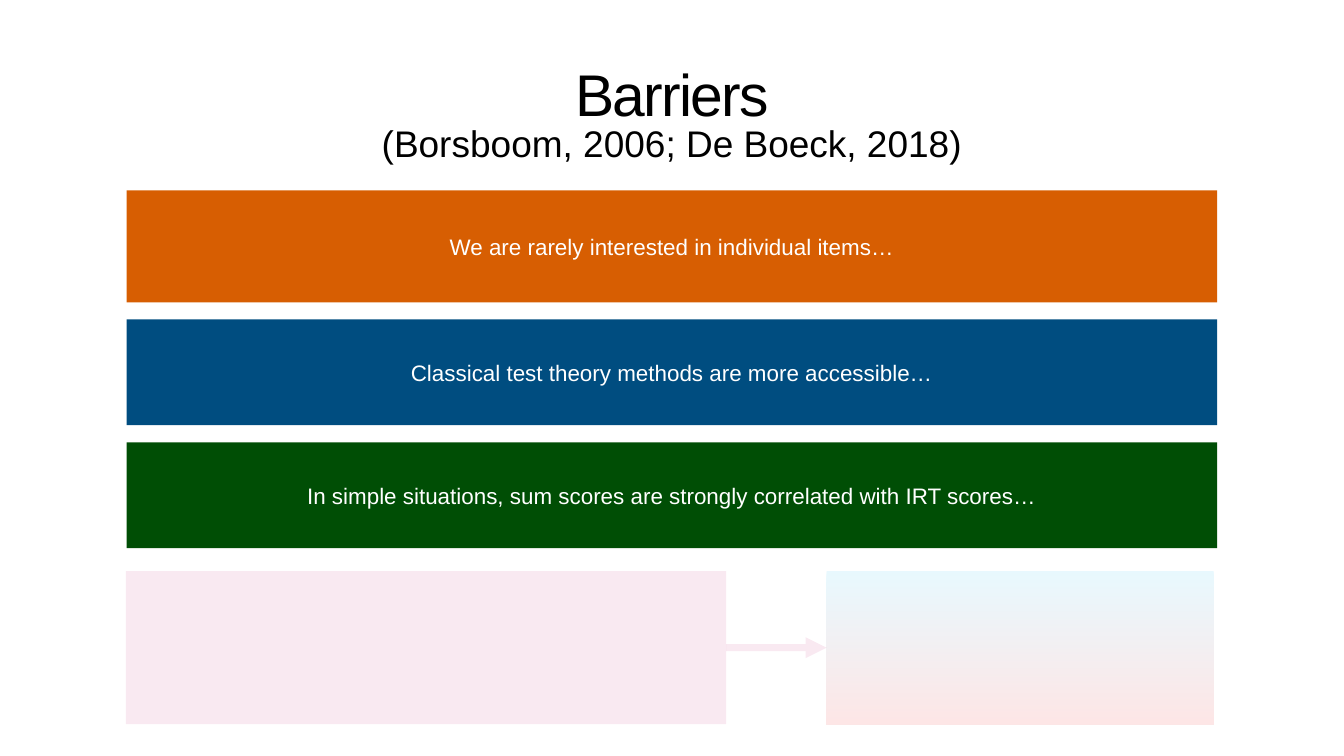
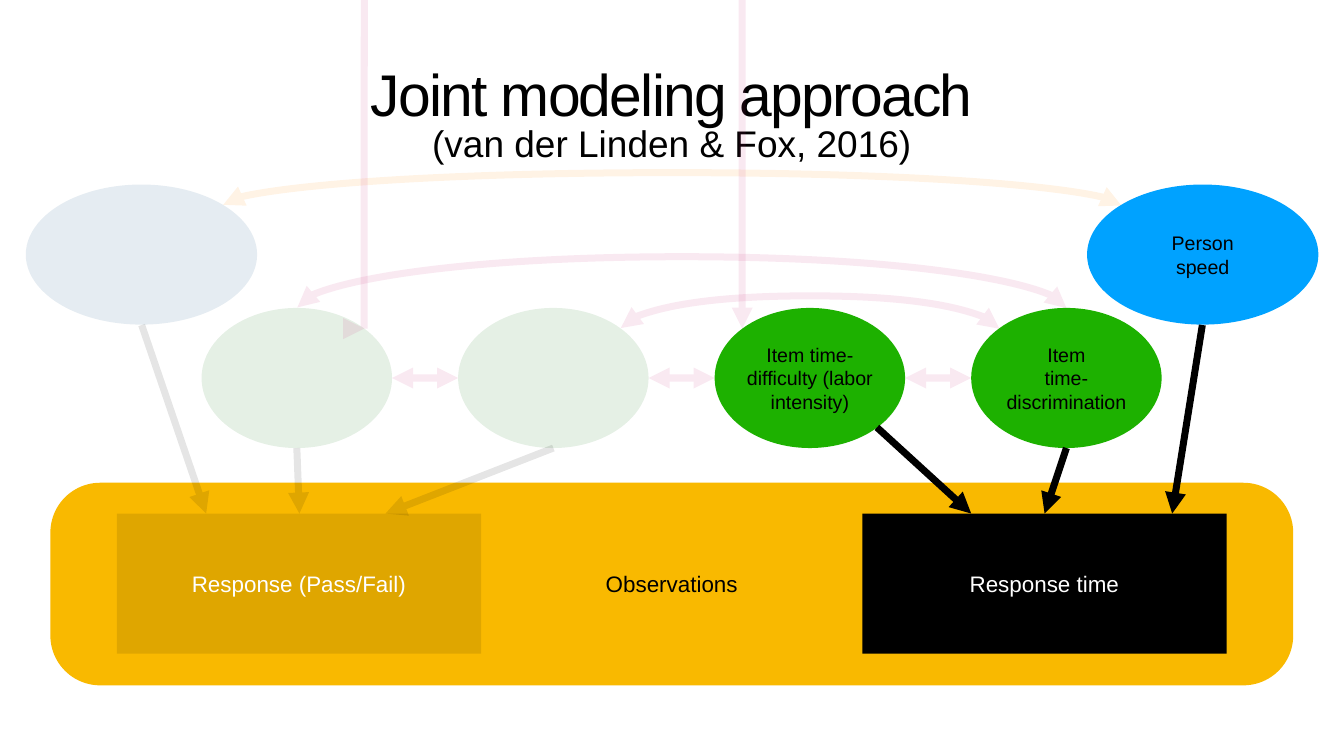
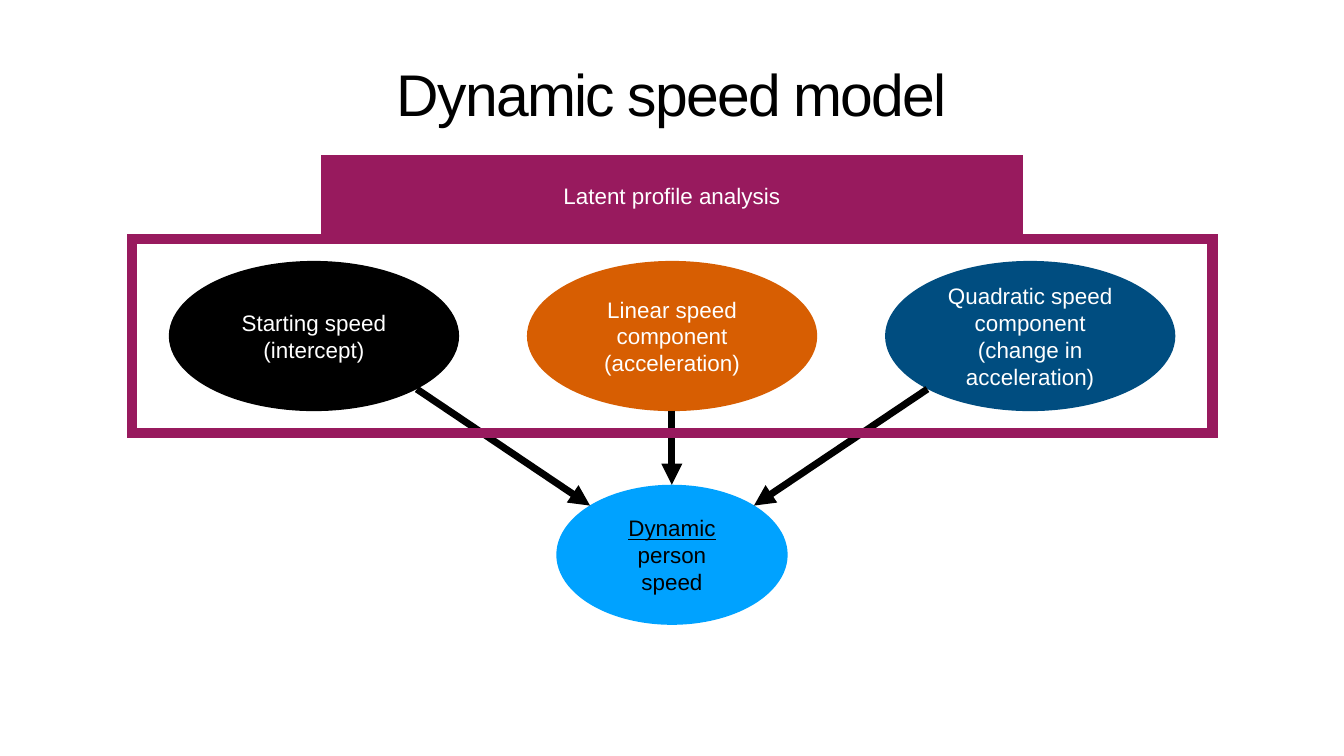
from dataclasses import dataclass

from lxml.etree import SubElement
from pptx import Presentation
from pptx.dml.color import RGBColor
from pptx.enum.shapes import MSO_CONNECTOR as Link, MSO_SHAPE as Preset
from pptx.enum.text import MSO_ANCHOR as Anchor, PP_ALIGN as Align
from pptx.oxml.ns import qn
from pptx.util import Cm, Pt


@dataclass(frozen=True)
class Theme:
    font: str = "Arial"
    black: str = "000000"
    white: str = "FFFFFF"
    orange: str = "D75E02"
    navy: str = "004D80"
    forest: str = "004E05"
    leaf: str = "017100"
    green: str = "1DB100"
    blue: str = "00A2FF"
    gold: str = "F9B900"
    amber: str = "FF9201"
    pink: str = "CB297B"
    plum: str = "981A5E"
    sky: str = "22C4F8"
    red: str = "F20C0C"
    title: float = 84
    subtitle: float = 52.9
    label: float = 32
    small: float = 28
    stroke: float = 10
    frame: float = 15
    faded: int = 10  # opacity in percent


THEME = Theme()


# Text and colour
def fade(element):
    """Make every colour inside the element nearly transparent."""
    for colour in element.iter(qn("a:srgbClr")):
        SubElement(colour, qn("a:alpha"), val=str(THEME.faded * 1000))


def write(box, text, size=THEME.label, color=THEME.white, anchor=Anchor.MIDDLE,
          spacing=None, tracking=None, underlined=()):
    """Write one centred paragraph per line of text."""
    frame = box.text_frame
    frame.word_wrap = True
    frame.vertical_anchor = anchor
    frame.margin_left = frame.margin_right = Cm(0.15)
    frame.margin_top = frame.margin_bottom = Cm(0.15)
    for number, words in enumerate(text.split("\n")):
        para = frame.paragraphs[0] if number == 0 else frame.add_paragraph()
        para.alignment = Align.CENTER
        if spacing:
            para.line_spacing = spacing
        span = para.add_run()
        span.text = words
        span.font.name = THEME.font
        span.font.size = Pt(size)
        span.font.color.rgb = RGBColor.from_string(color)
        if words in underlined:
            span.font.underline = True
        if tracking:
            span.font._element.set("spc", str(round(tracking * 100)))


def add_heading(page, title, subtitle=None):
    box = page.shapes.add_textbox(Cm(3.53), Cm(2.26), Cm(60.68), Cm(4.32))
    write(box, title, size=THEME.title, color=THEME.black,
          anchor=Anchor.BOTTOM, spacing=0.8, tracking=-2.5)
    if subtitle:
        box = page.shapes.add_textbox(Cm(3.53), Cm(5.92), Cm(60.68), Cm(2.82))
        write(box, subtitle, size=THEME.subtitle, color=THEME.black,
              anchor=Anchor.TOP)


# Shapes
def add_block(page, area, text="", fill=None, outline=None, faded=False,
              preset=Preset.RECTANGLE, **text_format):
    """Add a shape; a pair of fills makes a top-to-bottom gradient."""
    block = page.shapes.add_shape(preset, *map(Cm, area))
    block.shadow.inherit = False
    if fill is None:
        block.fill.background()
    elif isinstance(fill, tuple):
        block.fill.gradient()
        block.fill.gradient_angle = 270
        for stop, color in zip(block.fill.gradient_stops, fill):
            stop.color.rgb = RGBColor.from_string(color)
    else:
        block.fill.solid()
        block.fill.fore_color.rgb = RGBColor.from_string(fill)
    if outline:
        block.line.color.rgb = RGBColor.from_string(outline)
        block.line.width = Pt(THEME.frame)
        SubElement(block.line._get_or_add_ln(), qn("a:miter"), lim="400000")
    else:
        block.line.fill.background()
    if faded:
        fade(block._element.spPr)
    if text:
        write(block, text, **text_format)
    return block


def add_oval(page, area, text="", fill=None, **options):
    return add_block(page, area, text, fill, preset=Preset.OVAL, **options)


# Arrows
def style_arrow(line, color, faded, both_ends):
    line.line.color.rgb = RGBColor.from_string(color)
    line.line.width = Pt(THEME.stroke)
    stroke = line.line._get_or_add_ln()
    if faded:
        fade(stroke)
    if both_ends:
        SubElement(stroke, qn("a:headEnd"), type="triangle")
    SubElement(stroke, qn("a:tailEnd"), type="triangle")
    SubElement(line._element.spPr, qn("a:effectLst"))


def add_arrow(page, start, end, color=THEME.black, faded=False, both_ends=False):
    line = page.shapes.add_connector(Link.STRAIGHT, *map(Cm, start + end))
    style_arrow(line, color, faded, both_ends)


def add_arc(page, right, left, base, rise, color, level=False):
    """Add a faded two-headed arc between two points at about the same height."""
    line = page.shapes.add_connector(Link.CURVE, 0, 0, 0, 0)
    depth, reach = (1 if level else Pt(1)), Cm(right - left)
    line.width, line.height = depth, reach
    line.left = Cm((left + right) / 2) - depth // 2
    line.top = Cm(base) - reach // 2
    bend = round(Cm(rise) / depth * 100000)
    properties = line._element.spPr
    turn = properties.find(qn("a:xfrm"))
    turn.set("rot", str(270 * 60000))
    turn.set("flipV", "1")
    if level:
        turn.set("flipH", "1")
        bend = -bend
    guides = properties.find(qn("a:prstGeom")).find(qn("a:avLst"))
    SubElement(guides, qn("a:gd"), name="adj1", fmla=f"val {bend}")
    style_arrow(line, color, faded=True, both_ends=True)


# Slides
def build_barriers(page):
    add_heading(page, "Barriers", "(Borsboom, 2006; De Boeck, 2018)")
    bars = [
        (9.6, 5.64, THEME.orange, "We are rarely interested in individual items…"),
        (16.1, 5.33, THEME.navy, "Classical test theory methods are more accessible…"),
        (22.3, 5.33, THEME.forest, "In simple situations, sum scores are strongly "
                                   "correlated with IRT scores…"),
    ]
    for top, height, color, text in bars:
        add_block(page, (6.38, top, 54.97, height), text, color)
    add_block(page, (6.35, 28.78, 30.25, 7.72), fill=THEME.pink, faded=True)
    add_arrow(page, (36.6, 32.64), (41.66, 32.64), THEME.pink, faded=True)
    add_block(page, (41.66, 28.78, 19.51, 7.72), fill=(THEME.sky, THEME.red),
              faded=True)


def build_joint_model(page):
    band = add_block(page, (2.54, 24.33, 62.64, 10.21), "Observations", THEME.gold,
                     preset=Preset.ROUNDED_RECTANGLE, color=THEME.black)
    band.adjustments[0] = 0.246
    add_heading(page, "Joint modeling approach", "(van der Linden & Fox, 2016)")

    # Observed variables
    box_top = 25.88
    for left, text, faded in [(5.89, "Response (Pass/Fail)", True),
                              (43.46, "Response time", False)]:
        add_block(page, (left, box_top, 18.36, 7.06), text, THEME.black, faded=faded)

    # Person and item parameters; the faded ones carry no label
    label = dict(color=THEME.black, size=THEME.small)
    for left, text, fill in [(1.3, "", THEME.navy),
                             (54.79, "Person\nspeed", THEME.blue)]:
        add_oval(page, (left, 9.3, 11.66, 7.06), text, fill, faded=not text, **label)
    items = [
        ("", THEME.leaf),
        ("", THEME.leaf),
        ("Item time-\ndifficulty (labor intensity)", THEME.green),
        ("Item\ntime-discrimination", THEME.green),
    ]
    first, pitch, width = 10.16, 12.93, 9.6
    for number, (text, fill) in enumerate(items):
        left = first + number * pitch
        add_oval(page, (left, 15.52, width, 7.06), text, fill, faded=not text, **label)
        if number:
            add_arrow(page, (left, 19.05), (left - pitch + width, 19.05),
                      THEME.pink, faded=True, both_ends=True)

    # Parameters to observations
    for start, target, faded in [
        ((7.14, 16.38), 10.39, True),
        ((14.96, 22.58), 15.09, True),
        ((27.89, 22.58), 19.43, True),
        ((44.2, 21.54), 48.95, False),
        ((53.75, 22.58), 52.65, False),
        ((60.6, 16.38), 59.08, False),
    ]:
        add_arrow(page, start, (target, box_top), faded=faded)

    # Correlations
    add_arc(page, 53.75, 14.99, 15.51, 2.61, THEME.pink)
    add_arc(page, 56.52, 11.25, 10.34, 1.67, THEME.amber)
    add_arc(page, 37.41, 18.36, 16.56, 1.67, THEME.pink, level=True)
    add_arc(page, 50.37, 31.29, 16.55, 1.67, THEME.pink)


def build_dynamic_model(page):
    add_oval(page, (28.04, 24.43, 11.66, 7.06), "Dynamic\nperson\nspeed", THEME.blue,
             color=THEME.black, underlined=("Dynamic",))
    components = [
        ("Starting speed\n(intercept)", THEME.black),
        ("Linear speed component\n(acceleration)", THEME.orange),
        ("Quadratic speed component\n(change in acceleration)", THEME.navy),
    ]
    for number, (text, fill) in enumerate(components):
        add_oval(page, (8.51 + number * 18.05, 13.15, 14.63, 7.57), text, fill)
    for start, end in [((46.74, 19.61), (38, 25.48)),
                       ((33.86, 20.7), (33.86, 24.43)),
                       ((21.01, 19.61), (29.74, 25.48))]:
        add_arrow(page, start, end)
    add_heading(page, "Dynamic speed model")
    add_block(page, (6.65, 12.04, 54.46, 9.78), outline=THEME.plum)
    add_block(page, (16.43, 8.08, 34.87, 3.53), "Latent profile analysis",
              THEME.plum, outline=THEME.plum)


def main():
    deck = Presentation()
    deck.slide_width, deck.slide_height = Cm(67.74), Cm(38.1)
    for build in (build_barriers, build_joint_model, build_dynamic_model):
        build(deck.slides.add_slide(deck.slide_layouts[6]))
    deck.save("out.pptx")


if __name__ == "__main__":
    main()
